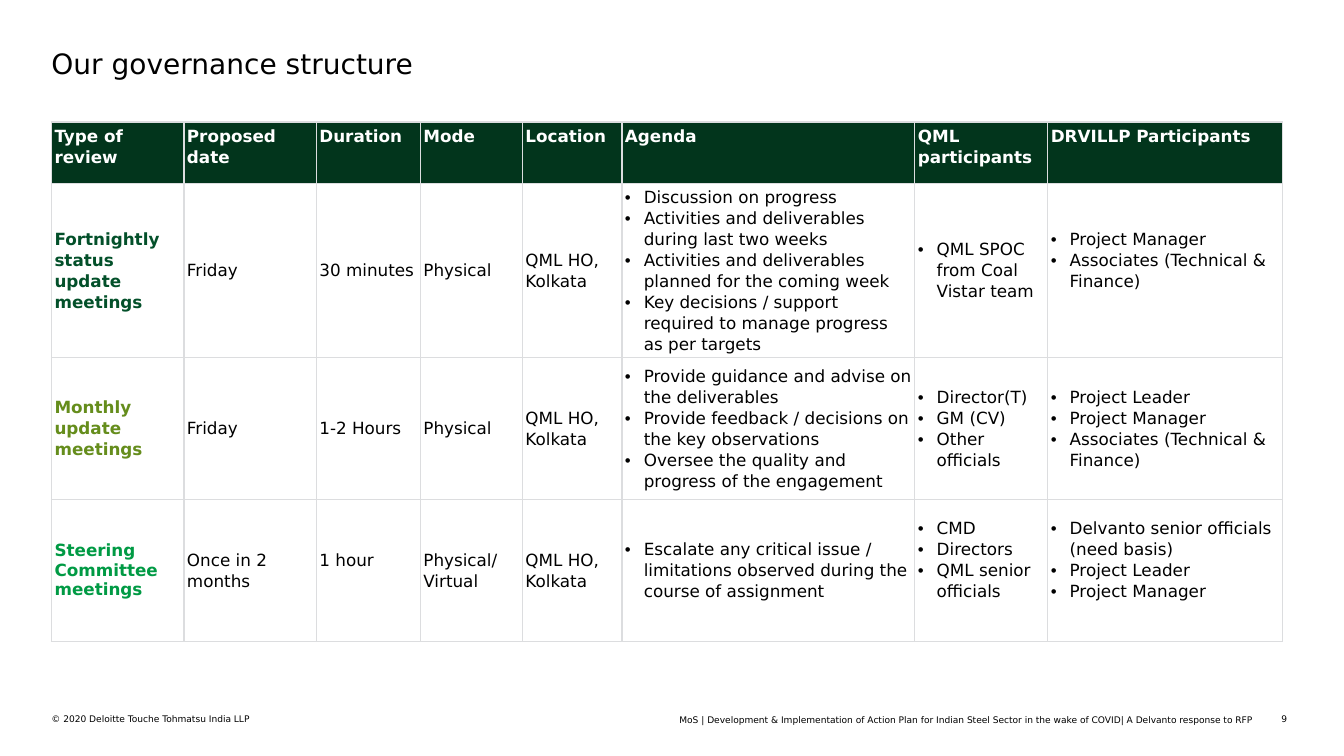
from lxml import etree
from pptx import Presentation
from pptx.dml.color import RGBColor
from pptx.enum import text as t
from pptx.oxml import ns
from pptx.util import Pt

FONT = "DejaVu Sans"
BLACK, WHITE, HEADER_GREEN, RULE_GREY = "000000", "FFFFFF", "02351C", "DCDDDF"
TITLE = "Our governance structure"

# Text, left, top, width, alignment
FOOTERS = [
    ("© 2020 Deloitte Touche Tohmatsu India LLP", 36.72, 509.8, 422, t.PP_ALIGN.LEFT),
    ("MoS | Development & Implementation of Action Plan for Indian Steel Sector "
     "in the wake of COVID| A Delvanto response to RFP", 442, 510.1, 453.3, t.PP_ALIGN.RIGHT),
    ("9", 895, 509.8, 24.5, t.PP_ALIGN.RIGHT),
]

# Heading, column width
COLUMNS = [
    ("Type of review", 94.6), ("Proposed date", 94.6), ("Duration", 74.3),
    ("Mode", 72.9), ("Location", 71.1), ("Agenda", 209.2),
    ("QML participants", 95), ("DRVILLP Participants", 167.8),
]
HEADER_HEIGHT = 43.6

# Colour of the review type, row height, cells; a list is a bulleted cell
REVIEWS = [
    ("03502A", 124.4, [
        "Fortnightly status update meetings", "Friday", "30 minutes", "Physical",
        "QML HO, Kolkata",
        ["Discussion on progress",
         "Activities and deliverables during last two weeks",
         "Activities and deliverables planned for the coming week",
         "Key decisions / support required to manage progress as per targets"],
        ["QML SPOC from Coal Vistar team"],
        ["Project Manager", "Associates (Technical & Finance)"]]),
    ("658D1C", 101.4, [
        "Monthly update meetings", "Friday", "1-2 Hours", "Physical",
        "QML HO, Kolkata",
        ["Provide guidance and advise on the deliverables",
         "Provide feedback / decisions on the key observations",
         "Oversee the quality and progress of the engagement"],
        ["Director(T)", "GM (CV)", "Other officials"],
        ["Project Leader", "Project Manager", "Associates (Technical & Finance)"]]),
    ("009A44", 101.4, [
        "Steering Committee meetings", "Once in 2 months", "1 hour",
        "Physical/ Virtual", "QML HO, Kolkata",
        ["Escalate any critical issue / limitations observed during the course of assignment"],
        ["CMD", "Directors", "QML senior officials"],
        ["Delvanto senior officials (need basis)", "Project Leader", "Project Manager"]]),
]
RAISED_CELLS = {(1, 7), (3, 2), (3, 6), (3, 7)}  # sit half a line above the middle
TABLE_LEFT, TABLE_TOP = 36.8, 87.2
CELL_INSET, LINE_HEIGHT, BULLET_INDENT = 2.16, 15, 13.5
LINE_SPACING = 1.07


def rgb(colour):
    return RGBColor.from_string(colour)


def add_run(paragraph, wording, size, colour=BLACK, bold=False):
    run = paragraph.add_run()
    run.text = wording
    run.font.name, run.font.size, run.font.bold = FONT, Pt(size), bold
    run.font.color.rgb = rgb(colour)


def clear_margins(frame):
    frame.margin_left = frame.margin_top = frame.margin_right = frame.margin_bottom = 0
    frame.auto_size = t.MSO_AUTO_SIZE.NONE
    frame.word_wrap = True


def add_bullet(paragraph):
    properties = paragraph._p.get_or_add_pPr()
    properties.set("marL", str(Pt(BULLET_INDENT)))
    properties.set("indent", str(-Pt(BULLET_INDENT)))
    etree.SubElement(properties, ns.qn("a:buFont")).set("typeface", "Arial")
    etree.SubElement(properties, ns.qn("a:buChar")).set("char", "•")


def add_borders(cell):
    properties = cell._tc.get_or_add_tcPr()
    for side in ("lnL", "lnR", "lnT", "lnB"):
        line = etree.SubElement(properties, ns.qn("a:" + side), w=str(Pt(1)))
        fill = etree.SubElement(line, ns.qn("a:solidFill"))
        etree.SubElement(fill, ns.qn("a:srgbClr")).set("val", RULE_GREY)


def fill_cell(cell, content, colour, bold, spacing=LINE_SPACING, raised=False):
    add_borders(cell)
    cell.margin_left = cell.margin_right = cell.margin_top = Pt(CELL_INSET)
    cell.margin_bottom = Pt(CELL_INSET + LINE_HEIGHT * raised)
    bulleted = isinstance(content, list)
    for i, wording in enumerate(content if bulleted else [content]):
        frame = cell.text_frame
        paragraph = frame.add_paragraph() if i else frame.paragraphs[0]
        if bulleted:
            add_bullet(paragraph)
        paragraph.line_spacing = spacing
        add_run(paragraph, wording, 12, colour, bold)


def add_reviews(slide):
    heights = [HEADER_HEIGHT] + [height for _, height, _ in REVIEWS]
    widths = [width for _, width in COLUMNS]
    table = slide.shapes.add_table(
        len(heights), len(widths), Pt(TABLE_LEFT), Pt(TABLE_TOP),
        Pt(sum(widths)), Pt(sum(heights))).table
    table.horz_banding = False
    for row, height in zip(table.rows, heights):
        row.height = Pt(height)
    for c, (heading, width) in enumerate(COLUMNS):
        table.columns[c].width = Pt(width)
        header = table.cell(0, c)
        fill_cell(header, heading, WHITE, True)
        header.vertical_anchor = t.MSO_ANCHOR.TOP
        header.fill.solid()
        header.fill.fore_color.rgb = rgb(HEADER_GREEN)
    for r, (type_colour, _, contents) in enumerate(REVIEWS, 1):
        for c, content in enumerate(contents):
            cell = table.cell(r, c)
            is_type = c == 0
            spacing = 1.0 if is_type and r == len(REVIEWS) else LINE_SPACING
            fill_cell(cell, content, type_colour if is_type else BLACK, is_type,
                      spacing, (r, c) in RAISED_CELLS)
            cell.vertical_anchor = t.MSO_ANCHOR.MIDDLE
            cell.fill.background()


def main():
    deck = Presentation()
    deck.slide_width, deck.slide_height = Pt(960), Pt(540)
    slide = deck.slides.add_slide(deck.slide_layouts[5])

    title = slide.shapes.title
    title.left, title.top, title.width, title.height = Pt(36.72), Pt(31.7), Pt(886.3), Pt(26.6)
    clear_margins(title.text_frame)
    title.text_frame.vertical_anchor = t.MSO_ANCHOR.MIDDLE
    heading = title.text_frame.paragraphs[0]
    heading.alignment = t.PP_ALIGN.LEFT
    add_run(heading, TITLE, 20)

    add_reviews(slide)

    for wording, left, top, width, alignment in FOOTERS:
        frame = slide.shapes.add_textbox(Pt(left), Pt(top), Pt(width), Pt(8)).text_frame
        clear_margins(frame)
        frame.paragraphs[0].alignment = alignment
        add_run(frame.paragraphs[0], wording, 6.5)

    deck.save("out.pptx")


if __name__ == "__main__":
    main()
